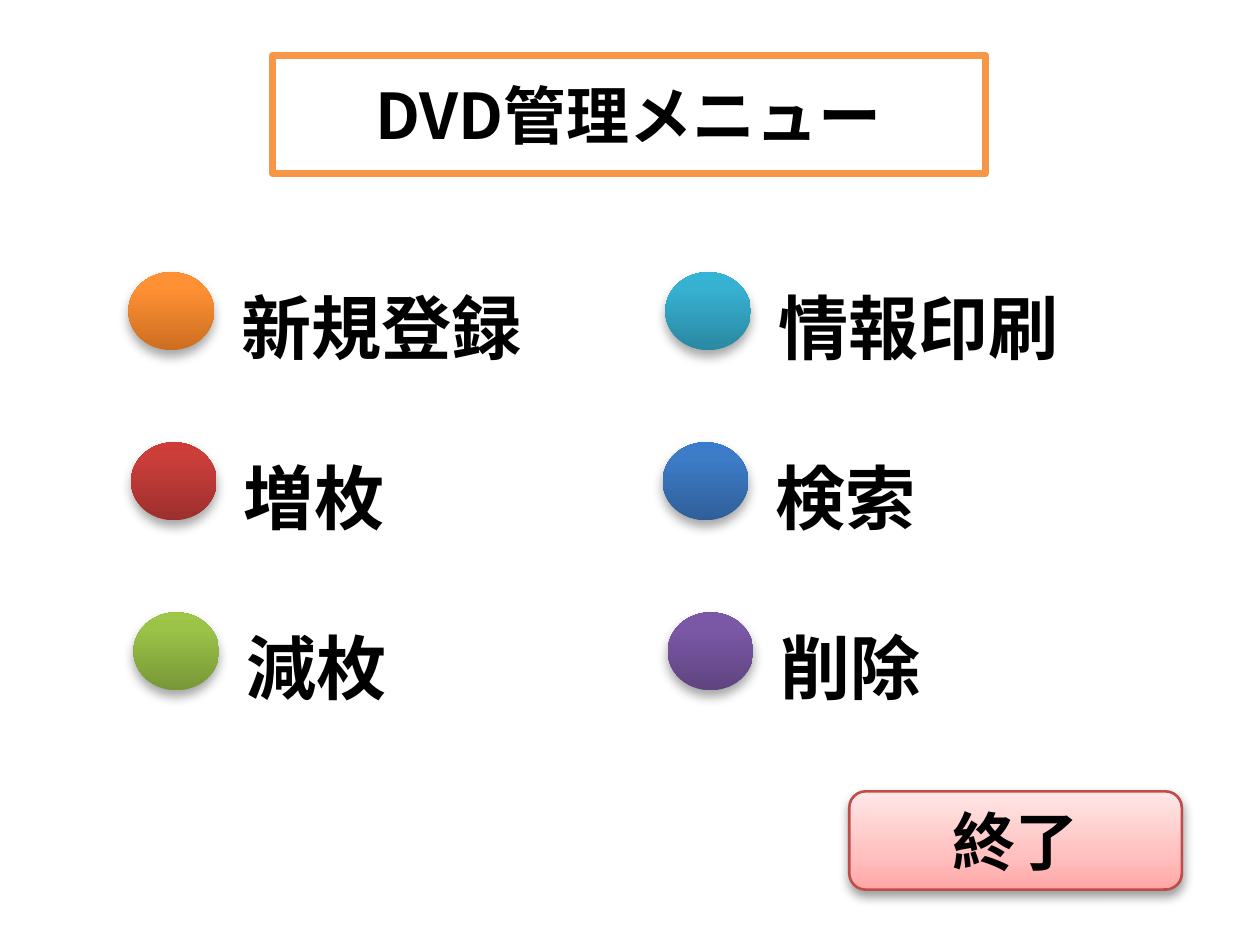
from copy import deepcopy

from lxml.etree import SubElement
from pptx import Presentation
from pptx.dml.color import RGBColor
from pptx.enum.shapes import MSO_SHAPE as Shape
from pptx.enum.text import MSO_ANCHOR as Anchor, MSO_AUTO_SIZE as AutoSize, PP_ALIGN as Align
from pptx.oxml.ns import qn
from pptx.util import Inches, Pt

FONT = "Noto Sans CJK JP"
BLACK = RGBColor(0x00, 0x00, 0x00)
WHITE = RGBColor(0xFF, 0xFF, 0xFF)
TITLE_LINE = RGBColor(0xF7, 0x96, 0x46)
EXIT_LINE = RGBColor(0xBF, 0x4C, 0x48)


def ramp(middle, *colors):
    return list(zip((0, middle, 1), map(RGBColor.from_string, colors)))


EXIT_RAMP = ramp(0.35, "FFA6A5", "FFC0BF", "FFE7E7")
ORANGE = ramp(0.8, "CC6E20", "FF9034", "FF9136")
RED = ramp(0.8, "9C2F2D", "CB3E3A", "CE3B37")
GREEN = ramp(0.8, "779737", "9BC348", "9DC746")
CYAN = ramp(0.8, "2A88A2", "37B1D2", "34B4D6")
BLUE = ramp(0.8, "2F5F99", "3D7CC7", "3A7CCB")
PURPLE = ramp(0.8, "5F4480", "7B58A6", "7C57A8")

ROW_TOP = 1.0
ROW_PITCH = 0.675
COLUMNS = [
    [(0.43, "新規登録", ORANGE), (0.44, "増枚", RED), (0.45, "減枚", GREEN)],
    [(2.56, "情報印刷", CYAN), (2.55, "検索", BLUE), (2.57, "削除", PURPLE)],
]


def write(frame, text, size, align=Align.LEFT, anchor=Anchor.TOP):
    frame.text = text
    frame.word_wrap = True
    frame.vertical_anchor = anchor
    para = frame.paragraphs[0]
    para.alignment = align
    span = para.runs[0]
    span.font.size = Pt(size)
    span.font.bold = True
    span.font.name = FONT
    span.font.color.rgb = BLACK
    SubElement(span.font._element, qn("a:ea"), typeface=FONT)


def fill_ramp(shape, stops):
    shape.fill.gradient()
    shape.fill.gradient_angle = 90
    stop_list = shape._element.spPr.find(qn("a:gradFill")).find(qn("a:gsLst"))
    stop_list.append(deepcopy(stop_list[-1]))
    for stop, (position, color) in zip(shape.fill.gradient_stops, stops):
        stop.position = position
        stop.color.rgb = color


def outline(shape, color, width):
    shape.line.color.rgb = color
    shape.line.width = Pt(width)


def drop_shadow(shape, distance, opacity):
    shape.shadow.inherit = False
    effects = shape._element.spPr.find(qn("a:effectLst"))
    shadow = SubElement(effects, qn("a:outerShdw"), blurRad=str(Pt(3.1)),
                        dist=str(Pt(distance)), dir="5400000", rotWithShape="0")
    color = SubElement(shadow, qn("a:srgbClr"), val=str(BLACK))
    SubElement(color, qn("a:alpha"), val=str(opacity * 1000))


def place_title(page, left, top, width, height):
    title = page.shapes.title
    title.left, title.top = Inches(left), Inches(top)
    title.width, title.height = Inches(width), Inches(height)
    geometry = SubElement(title._element.spPr, qn("a:prstGeom"), prst="roundRect")
    SubElement(geometry, qn("a:avLst"))
    title.fill.solid()
    title.fill.fore_color.rgb = WHITE
    outline(title, TITLE_LINE, 2)
    write(title.text_frame, "DVD管理メニュー", 18, Align.CENTER, Anchor.MIDDLE)
    title.text_frame.auto_size = AutoSize.NONE


def place_menu_item(page, left, top, label, stops):
    item = page.shapes.add_group_shape().shapes
    button = item.add_shape(Shape.OVAL, Inches(left + 0.08), Inches(top + 0.08),
                            Inches(0.34), Inches(0.31))
    fill_ramp(button, stops)
    button.line.fill.background()
    drop_shadow(button, 1.8, 35)

    border = item.add_shape(Shape.RECTANGLE, Inches(left), Inches(top),
                            Inches(1.97), Inches(0.47))
    border.fill.background()
    outline(border, WHITE, 2)
    border.shadow.inherit = False

    caption = item.add_textbox(Inches(left + 0.43), Inches(top + 0.08),
                               Inches(1.57), Inches(0.44))
    write(caption.text_frame, label, 20)
    caption.text_frame.auto_size = AutoSize.SHAPE_TO_FIT_TEXT


def place_exit(page, left, top, width, height):
    button = page.shapes.add_shape(Shape.ROUNDED_RECTANGLE, Inches(left), Inches(top),
                                   Inches(width), Inches(height))
    fill_ramp(button, EXIT_RAMP)
    outline(button, EXIT_LINE, 0.75)
    drop_shadow(button, 1.6, 38)
    write(button.text_frame, "終了", 18, Align.CENTER, Anchor.MIDDLE)


def main():
    deck = Presentation()
    deck.slide_width, deck.slide_height = Inches(5), Inches(3.75)
    page = deck.slides.add_slide(deck.slide_layouts[5])
    place_title(page, 1.08, 0.22, 2.83, 0.47)
    for column in COLUMNS:
        for row, (left, label, stops) in enumerate(column):
            place_menu_item(page, left, ROW_TOP + row * ROW_PITCH, label, stops)
    place_exit(page, 3.37, 3.14, 1.32, 0.39)
    deck.save("out.pptx")


if __name__ == "__main__":
    main()
